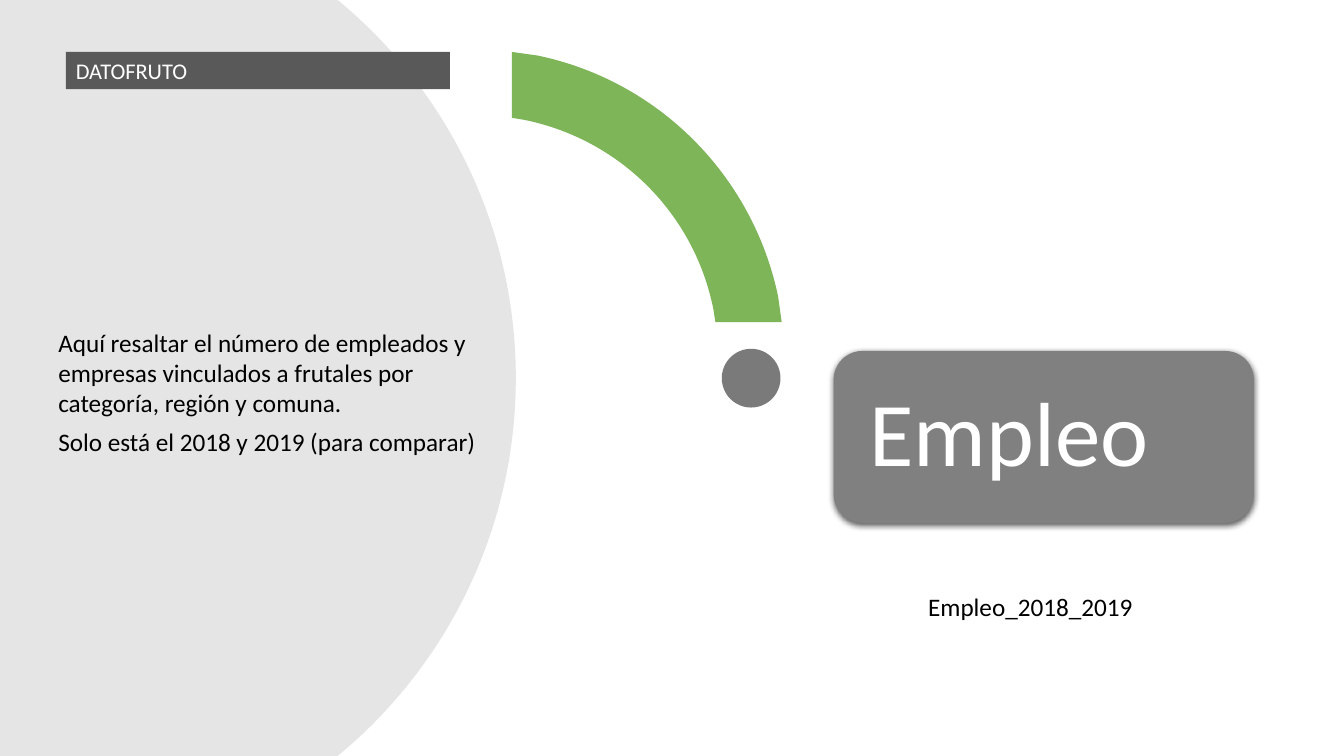
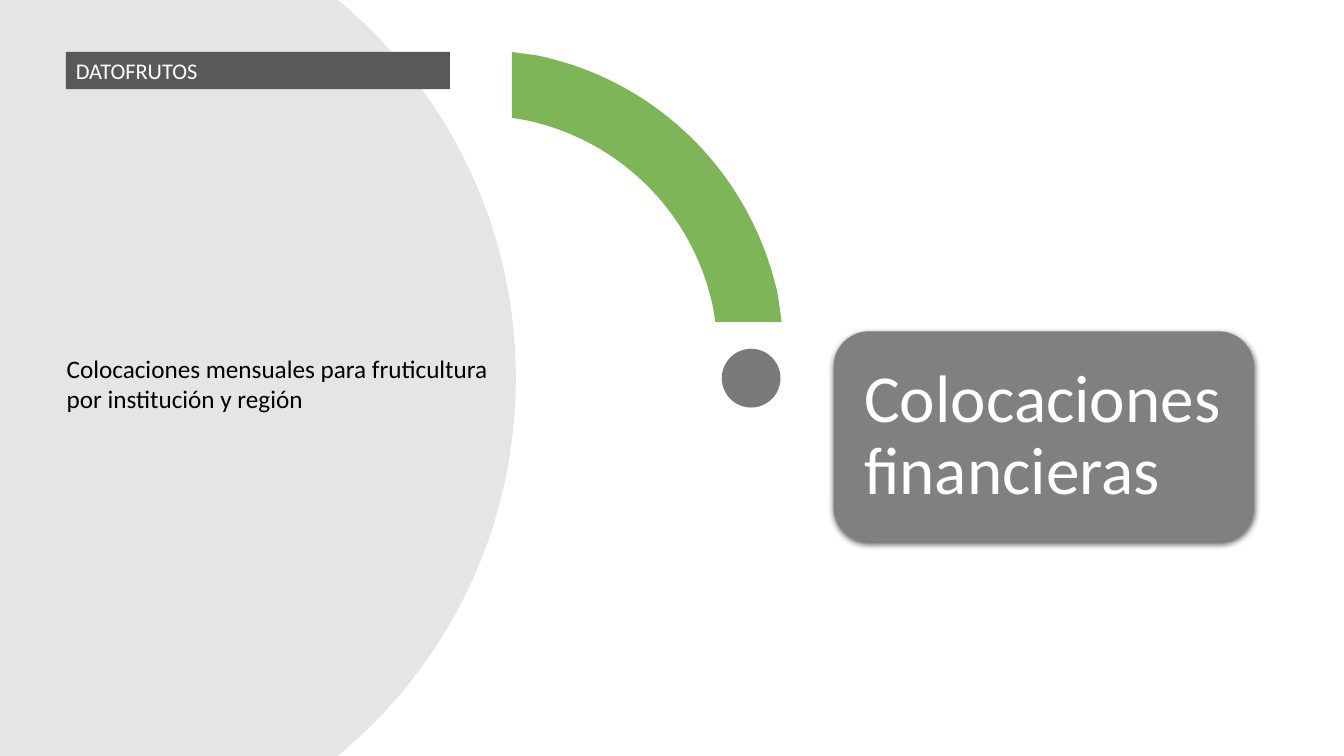
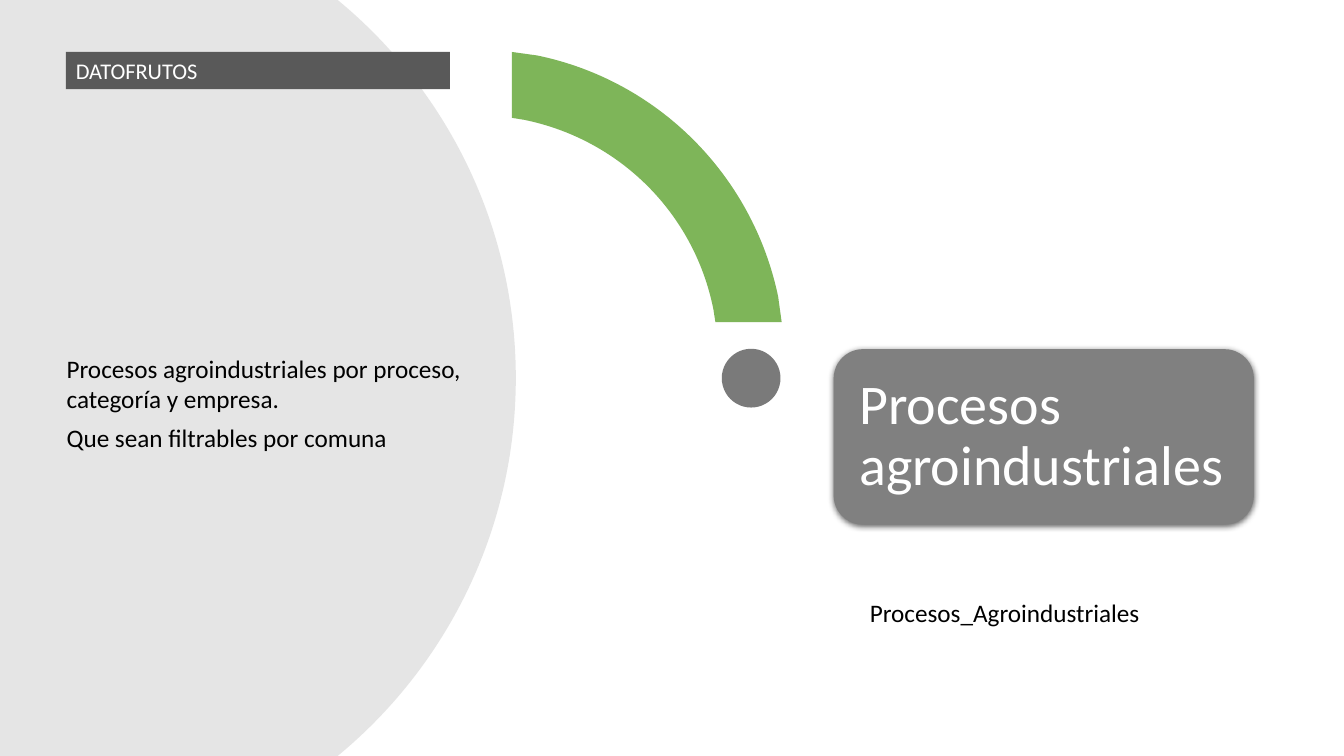
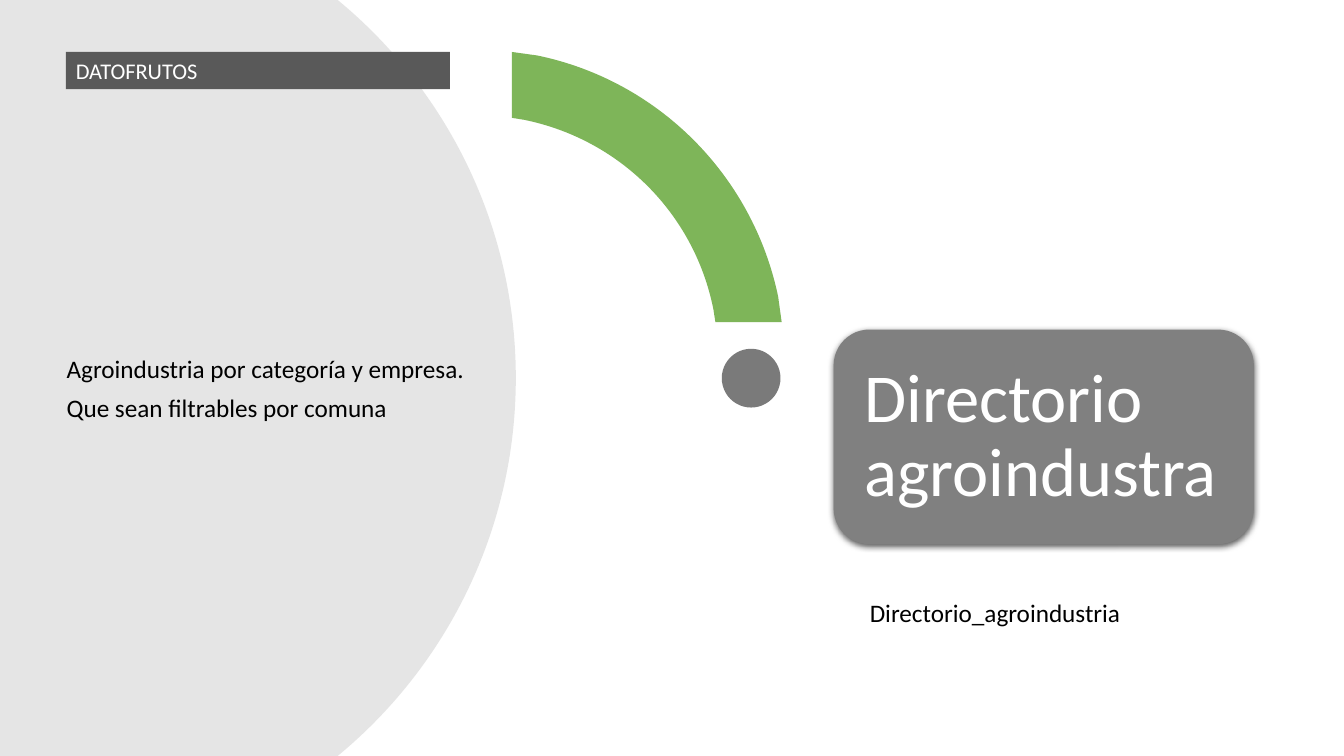
from dataclasses import dataclass

from lxml import etree
from pptx import Presentation
from pptx.dml.color import RGBColor
from pptx.enum.shapes import MSO_SHAPE
from pptx.enum.text import MSO_ANCHOR, MSO_AUTO_SIZE, PP_ALIGN
from pptx.oxml import parse_xml
from pptx.oxml.ns import nsdecls, qn
from pptx.shapes.autoshape import Shape
from pptx.slide import Slide
from pptx.util import Cm, Pt

RECT, OVAL, ROUNDED = MSO_SHAPE.RECTANGLE, MSO_SHAPE.OVAL, MSO_SHAPE.ROUNDED_RECTANGLE
LEFT, TOP, MIDDLE = PP_ALIGN.LEFT, MSO_ANCHOR.TOP, MSO_ANCHOR.MIDDLE
FIT_SHAPE = MSO_AUTO_SIZE.SHAPE_TO_FIT_TEXT

FONT = "Calibri"
COLORS = {"gray": "808080", "green": "70AD47", "dark": "595959",
          "black": "000000", "white": "FFFFFF"}

# Shared geometry in centimetres
SLIDE_W, SLIDE_H = 33.87, 19.05
CARD_X, CARD_MID, CARD_W = 21.01, 11.01, 10.59

Point = tuple[float, float]


@dataclass
class Box:
    x: float
    y: float
    w: float
    h: float


@dataclass
class Segment:
    """One point for a straight line, three for a Bezier curve."""
    points: list[Point]


@dataclass
class Topic:
    tag: str
    body: list[str]
    body_box: Box
    title: str
    title_size: int
    card_h: float
    card_inset: float
    source: str = ""
    source_at: Point = (21.67, 14.93)


# Large disc cut by the slide edges, and quarter ring with straight-cut ends
DISC = [Segment([(0, 0)]), Segment([(8.51, 0)]),
        Segment([(11.25, 2.26), (13.0, 5.69), (13.0, SLIDE_H / 2)]),
        Segment([(13.0, 13.36), (11.25, 16.79), (8.51, SLIDE_H)]),
        Segment([(0, SLIDE_H)])]
RING = [Segment([(12.9, 1.31)]), Segment([(13.54, 1.4)]),
        Segment([(16.59, 2.03), (18.97, 4.42), (19.61, 7.47)]),
        Segment([(19.7, 8.12)]), Segment([(18.03, 8.12)]), Segment([(17.98, 7.8)]),
        Segment([(17.5, 5.38), (15.62, 3.51), (13.21, 3.02)]),
        Segment([(12.9, 2.97)])]

TOPICS = [
    Topic("DATOFRUTO",
          ["Aquí resaltar el número de empleados y empresas vinculados a frutales "
           "por categoría, región y comuna.",
           "Solo está el 2018 y 2019 (para comparar)"],
          Box(1.22, 8.12, 11.79, 3.55), "Empleo", 65, 4.33, 0.69,
          "Empleo_2018_2019", (23.14, 14.78)),
    Topic("DATOFRUTOS",
          ["Colocaciones mensuales para fruticultura por institución y región"],
          Box(1.43, 8.78, 11.79, 1.8), "Colocaciones financieras", 48, 5.32, 0.51),
    Topic("DATOFRUTOS",
          ["Procesos agroindustriales por proceso, categoría y empresa.",
           "Que sean filtrables por comuna"],
          Box(1.43, 8.78, 11.79, 2.77), "Procesos agroindustriales", 40, 4.42, 0.43,
          "Procesos_Agroindustriales"),
    Topic("DATOFRUTOS",
          ["Agroindustria por categoría y empresa.", "Que sean filtrables por comuna"],
          Box(1.43, 8.78, 11.79, 2.0), "Directorio agroindustra", 49, 5.41, 0.51,
          "Directorio_agroindustria"),
]


def paint(sp: Shape, color: str, opacity: int = 100) -> None:
    """Give a shape a flat fill, with no line and no shadow."""
    sp.shadow.inherit = False
    sp.line.fill.background()
    sp.fill.solid()
    sp.fill.fore_color.rgb = RGBColor.from_string(COLORS[color])
    if opacity < 100:
        clr = sp._element.spPr.find(".//" + qn("a:srgbClr"))
        etree.SubElement(clr, qn("a:alpha")).set("val", str(opacity * 1000))


def add_preset(s: Slide, kind: MSO_SHAPE, box: Box, color: str, opacity: int = 100) -> Shape:
    sp = s.shapes.add_shape(kind, Cm(box.x), Cm(box.y), Cm(box.w), Cm(box.h))
    paint(sp, color, opacity)
    return sp


def add_outline(s: Slide, segments: list[Segment], color: str, opacity: int) -> None:
    emu = [(Cm(x), Cm(y)) for seg in segments for x, y in seg.points]
    builder = s.shapes.build_freeform(*emu[0])
    builder.add_line_segments(emu[1:], close=True)
    sp = builder.convert_to_shape()
    # Join the three points of each curve into one Bezier step
    steps = iter(list(sp._element.spPr.find(".//" + qn("a:path"))))
    for seg in segments:
        parts = [next(steps) for _ in seg.points]
        if len(parts) == 3:
            curve = parse_xml(f'<a:cubicBezTo {nsdecls("a")}/>')
            parts[0].addprevious(curve)
            for part in parts:
                curve.append(part[0])
                part.getparent().remove(part)
    paint(sp, color, opacity)


def write(sp: Shape, lines: list[str], size: int, color: str, after: float = 0,
          spacing: float = 1.0, **frame: object) -> None:
    tf = sp.text_frame
    for name, value in {"word_wrap": True, "vertical_anchor": TOP, **frame}.items():
        setattr(tf, name, value)
    for i, line in enumerate(lines):
        p = tf.paragraphs[0] if i == 0 else tf.add_paragraph()
        for name, value in {"alignment": LEFT, "space_after": Pt(after),
                            "line_spacing": spacing}.items():
            setattr(p, name, value)
        r = p.add_run()
        r.text = line
        for name, value in {"name": FONT, "size": Pt(size)}.items():
            setattr(r.font, name, value)
        r.font.color.rgb = RGBColor.from_string(COLORS[color])


def add_text(s: Slide, box: Box, lines: list[str], after: float = 0) -> None:
    sp = s.shapes.add_textbox(Cm(box.x), Cm(box.y), Cm(box.w), Cm(box.h))
    write(sp, lines, 18, "black", after, auto_size=FIT_SHAPE)


def add_shadow(sp: Shape) -> None:
    effects = sp._element.spPr.find(qn("a:effectLst"))
    effects.append(parse_xml(
        f'<a:outerShdw {nsdecls("a")} blurRad="{Pt(4.5)}" dist="{Pt(1.5)}" '
        f'dir="5400000" algn="ctr" rotWithShape="0"><a:srgbClr val="{COLORS["black"]}">'
        '<a:alpha val="63000"/></a:srgbClr></a:outerShdw>'))


def add_backdrop(s: Slide) -> None:
    add_outline(s, DISC, "gray", 20)
    add_outline(s, RING, "green", 90)
    # Dot below the ring
    add_preset(s, OVAL, Box(18.19, 8.79, 1.48, 1.48), "dark", 80)


def add_card(s: Slide, topic: Topic) -> None:
    box = Box(CARD_X, CARD_MID - topic.card_h / 2, CARD_W, topic.card_h)
    sp = add_preset(s, ROUNDED, box, "gray")
    add_shadow(sp)
    inset = Cm(topic.card_inset)
    margins = {f"margin_{side}": inset for side in ("left", "right", "top", "bottom")}
    write(sp, [topic.title], topic.title_size, "white", spacing=0.9,
          vertical_anchor=MIDDLE, **margins)


def add_topic(prs: Presentation, topic: Topic) -> None:
    s = prs.slides.add_slide(prs.slide_layouts[6])
    add_backdrop(s)
    add_text(s, topic.body_box, topic.body, after=6)
    tag = add_preset(s, RECT, Box(1.66, 1.31, 9.68, 0.94), "dark")
    write(tag, [topic.tag], 16, "white", after=6, auto_size=FIT_SHAPE)
    add_card(s, topic)
    if topic.source:
        add_text(s, Box(*topic.source_at, 10, 1.03), [topic.source])


def main() -> None:
    prs = Presentation()
    prs.slide_width, prs.slide_height = Cm(SLIDE_W), Cm(SLIDE_H)
    for topic in TOPICS:
        add_topic(prs, topic)
    prs.save("out.pptx")


if __name__ == "__main__":
    main()
